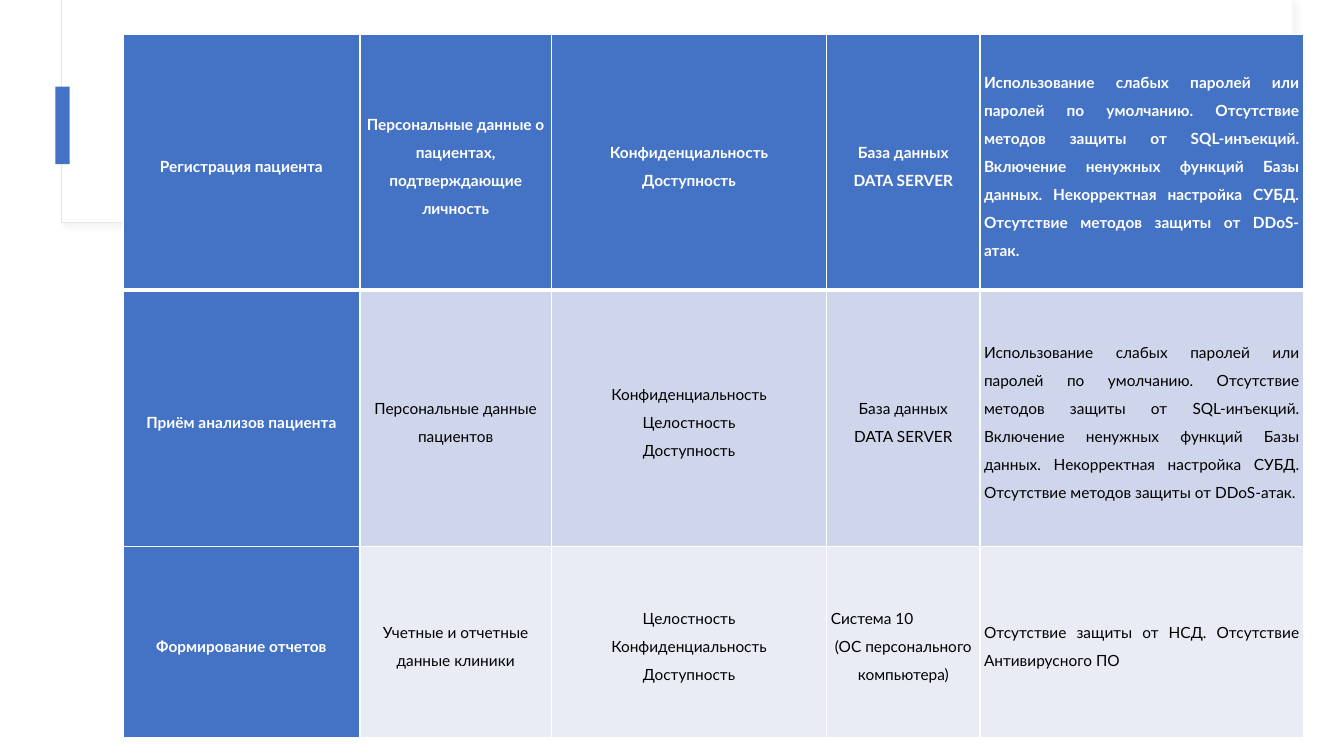
from lxml.etree import SubElement
from pptx import Presentation
from pptx.dml.color import RGBColor
from pptx.enum.shapes import MSO_SHAPE
from pptx.enum.text import MSO_ANCHOR, PP_ALIGN
from pptx.oxml.ns import qn
from pptx.util import Inches, Pt

COLORS = {
    "white": "FFFFFF", "black": "000000", "blue": "4472C4", "outline": "E4E8EE",
    "shadow": "D9D9D9", "band_dark": "CFD5EA", "band_light": "E9EBF5",
}
FONT, TEXT_SIZE, LINE_SPACING = "Lato", 11, 1.5
CENTER, JUSTIFY = PP_ALIGN.CENTER, PP_ALIGN.JUSTIFY

DATABASE = "База данных\nDATA SERVER"
DATABASE_RISKS = (
    "Использование слабых паролей или паролей по умолчанию. "
    "Отсутствие методов защиты от SQL-инъекций. "
    "Включение ненужных функций Базы данных. Некорректная настройка СУБД. "
    "Отсутствие методов защиты от DDoS-атак."
)
# Process, information, security properties, system, vulnerabilities
ROWS = [
    ("Регистрация пациента",
     "Персональные данные о пациентах, подтверждающие личность",
     "Конфиденциальность\nДоступность", DATABASE, DATABASE_RISKS),
    ("Приём анализов пациента", "Персональные данные пациентов",
     "Конфиденциальность\nЦелостность\nДоступность", DATABASE, DATABASE_RISKS),
    ("Формирование отчетов", "Учетные и отчетные данные клиники",
     "Целостность\nКонфиденциальность\nДоступность",
     "Система 10\n(ОС персонального компьютера)",
     "Отсутствие защиты от НСД. Отсутствие Антивирусного ПО"),
]
JUSTIFIED_LINES = {"Система 10"}
ROW_FILLS = ["blue", "band_dark", "band_light"]
COLUMN_WIDTHS = [2.35, 1.9, 2.73, 1.52, 3.21]
ROW_HEIGHTS = [2.54, 2.54, 1.9]
TABLE_LEFT, TABLE_TOP = 1.22, 0.34


def color(name):
    """Return the named colour."""
    return RGBColor.from_string(COLORS[name])


def add_rectangle(slide, box, fill, line=None):
    """Add a flat rectangle with an optional thin outline."""
    shape = slide.shapes.add_shape(MSO_SHAPE.RECTANGLE, *map(Inches, box))
    shape.shadow.inherit = False
    shape.fill.solid()
    shape.fill.fore_color.rgb = color(fill)
    if line:
        shape.line.color.rgb = color(line)
        shape.line.width = Pt(0.75)
    else:
        shape.line.fill.background()
    return shape


def add_soft_shadow(shape):
    """Give the shape a faint shadow towards the lower right."""
    effects = shape._element.spPr.find(qn("a:effectLst"))
    shadow = SubElement(effects, qn("a:outerShdw"), blurRad=str(Pt(4)),
                        dist=str(Pt(3)), dir=str(45 * 60000), algn="tl", rotWithShape="0")
    tint = SubElement(shadow, qn("a:srgbClr"), val=COLORS["shadow"])
    SubElement(tint, qn("a:alpha"), val="30000")


def set_borders(cell, top, bottom):
    """Draw white cell borders; the sides are 1 point wide."""
    properties = cell._tc.get_or_add_tcPr()
    for side, width in (("L", 1), ("R", 1), ("T", top), ("B", bottom)):
        line = SubElement(properties, qn(f"a:ln{side}"), w=str(Pt(width)))
        fill = SubElement(line, qn("a:solidFill"))
        SubElement(fill, qn("a:srgbClr"), val=COLORS["white"])


def fill_cell(cell, text, row, column):
    """Write and style one table cell by its row and column."""
    strong = row == 0 or column == 0
    set_borders(cell, top=3 if row == 1 else 1, bottom=3 if row == 0 else 1)
    cell.fill.solid()
    cell.fill.fore_color.rgb = color("blue" if strong else ROW_FILLS[row])
    cell.vertical_anchor = MSO_ANCHOR.MIDDLE
    cell.margin_left = cell.margin_right = Inches(0.04)
    cell.margin_top = cell.margin_bottom = 0
    cell.text = text
    last_column = column == len(COLUMN_WIDTHS) - 1
    for paragraph in cell.text_frame.paragraphs:
        justified = last_column or paragraph.text in JUSTIFIED_LINES
        paragraph.alignment = JUSTIFY if justified else CENTER
        paragraph.line_spacing = LINE_SPACING
        paragraph.font.name = FONT
        paragraph.font.size = Pt(TEXT_SIZE)
        paragraph.font.bold = strong
        paragraph.font.color.rgb = color("white" if strong else "black")


def add_risk_table(slide):
    """Add the table of processes and their vulnerabilities."""
    box = (TABLE_LEFT, TABLE_TOP, sum(COLUMN_WIDTHS), sum(ROW_HEIGHTS))
    table = slide.shapes.add_table(
        len(ROW_HEIGHTS), len(COLUMN_WIDTHS), *map(Inches, box)).table
    for column, width in zip(table.columns, COLUMN_WIDTHS):
        column.width = Inches(width)
    for row, height in zip(table.rows, ROW_HEIGHTS):
        row.height = Inches(height)
    for row, texts in enumerate(ROWS):
        for column, text in enumerate(texts):
            fill_cell(table.cell(row, column), text, row, column)


presentation = Presentation()
presentation.slide_width = Inches(13.33)
presentation.slide_height = Inches(7.5)
slide = presentation.slides.add_slide(presentation.slide_layouts[6])

add_soft_shadow(add_rectangle(slide, (0.61, 0, 12.21, 2.21), "white", "outline"))
add_rectangle(slide, (0.62, 0, 12.2, 2.2), "white")
add_rectangle(slide, (0.55, 0.86, 0.14, 0.77), "blue")
add_risk_table(slide)

presentation.save("out.pptx")
